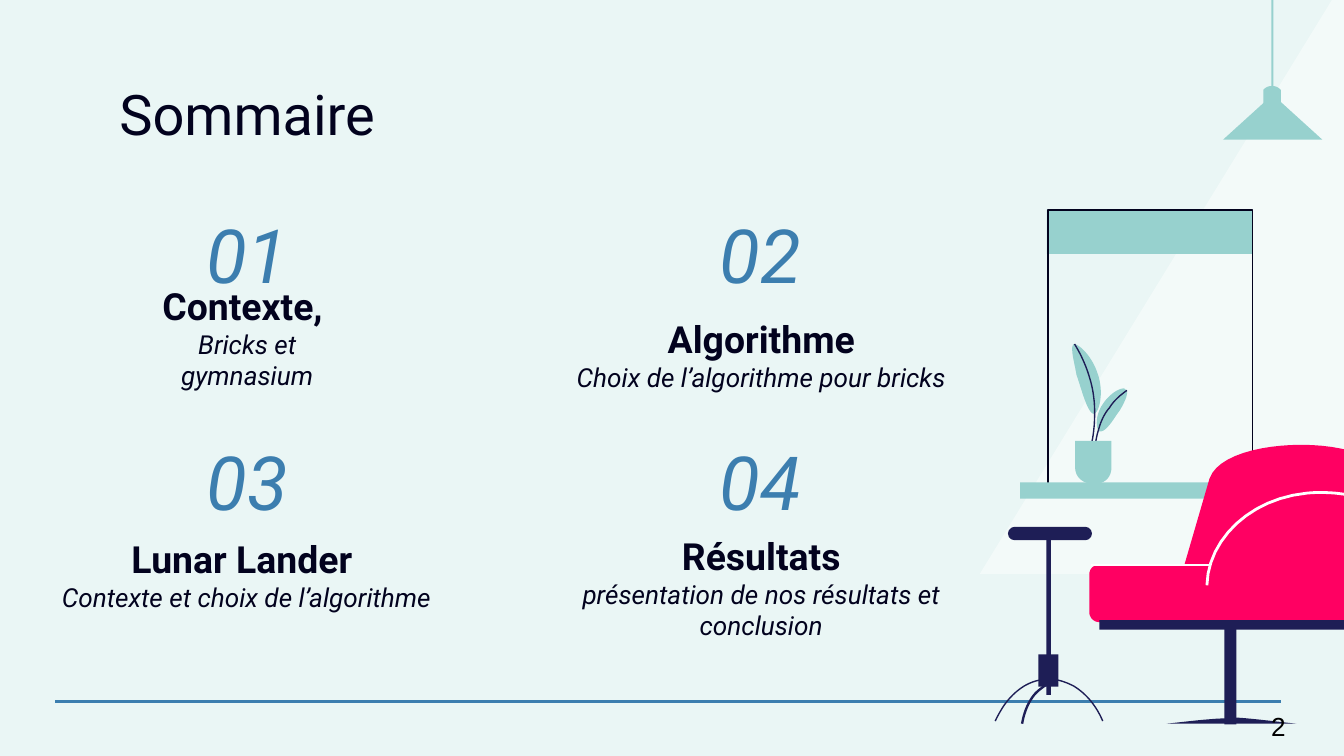
import pptx
import pptx.util
import pptx.dml.color
import pptx.enum.shapes
import pptx.enum.text
import pptx.oxml.ns
import lxml.etree

SCALE = 4572  # EMU per px, 200 px to the inch
STEPS = 12    # line segments per curve
INK, NAVY, BLUE = "02021E", "1E1E56", "3C7EAF"
MINT, PINK, WHITE = "97D1CE", "FF0062", "FFFFFF"
KIND = pptx.enum.shapes.MSO_SHAPE
ALIGN = pptx.enum.text.PP_ALIGN
ANCHOR = pptx.enum.text.MSO_ANCHOR


def emu(px):
    return pptx.util.Emu(round(px * SCALE))


def rgb(code):
    return pptx.dml.color.RGBColor.from_string(code)


def add_run(para, text, size=14, color=INK, font="Roboto", bold=False, italic=False):
    run = para.add_run()
    run.text = text
    run.font.size = pptx.util.Pt(size)
    run.font.name = font
    run.font.bold = bold
    run.font.italic = italic
    run.font.color.rgb = rgb(color)


def trace(path):
    """Turn points (2 values) and Bezier steps (6 values) into EMU points."""
    pts = [path[0]]
    for step in path[1:]:
        if len(step) == 2:
            pts.append(step)
            continue
        ends = (pts[-1], step[:2], step[2:4], step[4:])
        for i in range(1, STEPS + 1):
            t = i / STEPS
            parts = ((1 - t) ** 3, 3 * t * (1 - t) ** 2, 3 * t * t * (1 - t), t ** 3)
            pts.append(tuple(sum(w * p[axis] for w, p in zip(parts, ends))
                             for axis in (0, 1)))
    return [(emu(x), emu(y)) for x, y in pts]


class Page:
    def __init__(self, slide):
        self.slide = slide
        self.shapes = slide.shapes

    def paint(self, shape, fill=None, line=None, width=1, alpha=None):
        shape.shadow.inherit = False
        if fill:
            shape.fill.solid()
            shape.fill.fore_color.rgb = rgb(fill)
        else:
            shape.fill.background()
        if line:
            shape.line.color.rgb = rgb(line)
            shape.line.width = pptx.util.Pt(width)
        else:
            shape.line.fill.background()
        if alpha:
            tint = shape.fill._xPr.find(".//" + pptx.oxml.ns.qn("a:srgbClr"))
            lxml.etree.SubElement(tint, pptx.oxml.ns.qn("a:alpha"), val=str(alpha * 1000))

    def box(self, x, y, w, h, fill=None, kind=KIND.RECTANGLE, **style):
        shape = self.shapes.add_shape(kind, emu(x), emu(y), emu(w), emu(h))
        self.paint(shape, fill, **style)
        return shape

    def free(self, path, fill=None, **style):
        pts = trace(path)
        maker = self.shapes.build_freeform(*pts[0], scale=1.0)
        maker.add_line_segments(pts[1:], close=bool(fill))
        self.paint(maker.convert_to_shape(), fill, **style)

    def line(self, x1, y1, x2, y2, color, width):
        link = self.shapes.add_connector(
            pptx.enum.shapes.MSO_CONNECTOR.STRAIGHT, emu(x1), emu(y1), emu(x2), emu(y2))
        link.line.color.rgb = rgb(color)
        link.line.width = pptx.util.Pt(width)
        lxml.etree.SubElement(link._element.spPr, pptx.oxml.ns.qn("a:effectLst"))

    def text(self, x, y, w, h, *rows, anchor=ANCHOR.MIDDLE, align=ALIGN.CENTER):
        frame = self.shapes.add_textbox(emu(x), emu(y), emu(w), emu(h)).text_frame
        frame.word_wrap = True
        frame.vertical_anchor = anchor
        frame.margin_left = frame.margin_right = emu(20)
        frame.margin_top = frame.margin_bottom = emu(20)
        para = frame.paragraphs[0]
        para.alignment = align
        for i, (words, style) in enumerate(rows):
            if i:
                para.add_line_break()
            add_run(para, words, **style)


def add_topics(page):
    topics = [
        ("Contexte, ", "Bricks et gymnasium", (174, 476, 388, 126)),
        ("Algorithme", "Choix de l’algorithme pour bricks", (830, 470, 606, 134)),
        ("Lunar Lander ", "Contexte et choix de l’algorithme", (64, 798, 606, 134)),
        ("Résultats", "présentation de nos résultats et conclusion", (830, 798, 606, 176)),
    ]
    head = dict(size=20, bold=True)
    for i, (name, note, area) in enumerate(topics):
        row, col = divmod(i, 2)
        page.text(272 + 764 * col, 314 + 338 * row, 192, 126,
                  (f"{i + 1:02}", dict(size=40, color=BLUE, italic=True)))
        page.text(*area, (name, head), (note, dict(italic=True)), anchor=ANCHOR.BOTTOM)


def add_lamp(page):
    page.free([(2070, 0), (1982, 0), (1458, 854), (2436, 854), (2440, 430)],
              WHITE, alpha=46)
    page.box(1892, -18, 3, 174, MINT)
    page.free([(1968, 208), (1820, 208), (1884, 150), (1884, 150, 1886, 146, 1894, 146),
               (1900, 146, 1904, 150, 1904, 150)], MINT)
    page.free([(1880, 160), (1880, 134), (1880, 134, 1884, 128, 1893, 128),
               (1902, 128, 1906, 134, 1906, 134), (1906, 160)], MINT)


def add_stool(page):
    seat = page.box(1500, 784, 125, 20, NAVY, KIND.ROUNDED_RECTANGLE)
    seat.adjustments[0] = 0.5
    page.box(1557, 796, 7, 238, NAVY)
    feet = [
        ([(1559, 1011), (1546, 1011, 1534, 1015, 1524, 1021),
          (1498, 1037, 1487, 1061, 1481, 1073)], 0.75),
        ([(1564, 1011), (1576, 1011, 1588, 1016, 1598, 1021),
          (1624, 1037, 1636, 1061, 1641, 1073)], 0.75),
        ([(1563, 1015), (1555, 1020, 1545, 1027, 1539, 1034),
          (1527, 1049, 1523, 1066, 1521, 1077)], 1.25),
    ]
    for path, width in feet:
        page.free(path, line=NAVY, width=width)
    page.box(1545, 974, 30, 48, NAVY)


def add_window(page):
    page.box(1558, 312, 306, 66, MINT)
    page.box(1559, 313, 305, 422, line=INK)
    page.box(1518, 718, 388, 24, MINT)


def add_chair(page):
    # Post and foot
    page.box(1822, 916, 18, 162, NAVY)
    page.free([(1842, 1068), (1836, 1068, 1830, 1068, 1824, 1069),
               (1794, 1070, 1766, 1074, 1736, 1077), (1929, 1077),
               (1900, 1074, 1870, 1070, 1842, 1068)], NAVY)
    # Seat and back
    page.free([(1638, 840), (1632, 840, 1628, 842, 1625, 845),
               (1622, 848, 1621, 852, 1621, 856), (1621, 908),
               (1621, 911, 1621, 914, 1622, 916), (1624, 922, 1630, 926, 1636, 926),
               (2008, 926), (2016, 926, 2026, 922, 2030, 914), (2030, 840)], PINK)
    page.free([(1936, 662), (1876, 662, 1812, 678, 1800, 712), (1754, 870),
               (1746, 894, 1764, 920, 1790, 920), (1958, 920),
               (1976, 920, 1992, 908, 1996, 894), (2052, 710),
               (2060, 680, 2000, 662, 1936, 662)], PINK)
    page.line(1623, 841, 1862, 841, WHITE, 0.75)
    # Armrest with its piping
    page.free([(1970, 732), (1962, 732, 1954, 732, 1944, 734),
               (1870, 742, 1806, 792, 1798, 862), (1796, 872, 1796, 884, 1798, 896),
               (1790, 926), (2000, 926), (2012, 926, 2024, 922, 2030, 916), (2034, 910),
               (2046, 860, 2056, 812, 2066, 766), (2066, 758, 2062, 750, 2052, 746),
               (2032, 740, 2002, 732, 1970, 732)], PINK)
    page.free([(1796, 871), (1798, 801, 1862, 742, 1944, 734),
               (1952, 733, 1960, 733, 1968, 733), (1994, 733, 2018, 738, 2046, 746)],
              line=WHITE, width=1.5)
    page.box(1636, 923, 384, 14, NAVY)


def add_plant(page):
    page.free([(1598, 512), (1592, 516, 1598, 536, 1602, 558),
               (1608, 574, 1618, 616, 1628, 616), (1636, 614, 1644, 582, 1632, 552),
               (1624, 530, 1606, 512, 1598, 512)], MINT)
    page.free([(1599, 512), (1609, 528, 1617, 546, 1622, 564),
               (1627, 580, 1629, 598, 1629, 614), (1629, 634, 1627, 652, 1622, 670)],
              line=NAVY, width=0.75)
    page.free([(1672, 578), (1664, 578, 1650, 588, 1642, 600),
               (1630, 616, 1630, 638, 1636, 642), (1646, 644, 1658, 622, 1664, 614),
               (1666, 612, 1682, 586, 1676, 580), (1674, 580, 1674, 578, 1672, 578)], MINT)
    page.free([(1677, 581), (1667, 588, 1657, 597, 1651, 607),
               (1643, 616, 1638, 628, 1635, 639), (1631, 652, 1629, 666, 1629, 680)],
              line=NAVY, width=0.75)
    page.free([(1600, 656), (1600, 696), (1600, 710, 1612, 720, 1626, 720), (1630, 720),
               (1644, 720, 1654, 710, 1654, 696), (1654, 656)], MINT)


def main():
    deck = pptx.Presentation()
    deck.slide_width, deck.slide_height = emu(2000), emu(1125)
    slide = deck.slides.add_slide(deck.slide_layouts[6])
    back = slide.background.fill
    back.solid()
    back.fore_color.rgb = rgb("EAF6F5")
    page = Page(slide)

    # Base line, title and topics
    page.line(1906, 1044, 82, 1044, BLUE, 1.5)
    page.text(158, 98, 1686, 126, ("Sommaire", dict(size=30)),
              anchor=ANCHOR.TOP, align=ALIGN.LEFT)
    add_topics(page)

    # Room scene
    add_lamp(page)
    add_stool(page)
    add_window(page)
    add_chair(page)
    add_plant(page)

    # Page number
    page.text(1872, 1038, 120, 86, ("2", dict(font="Arial", color="000000")),
              align=ALIGN.LEFT)
    deck.save("out.pptx")


if __name__ == "__main__":
    main()
